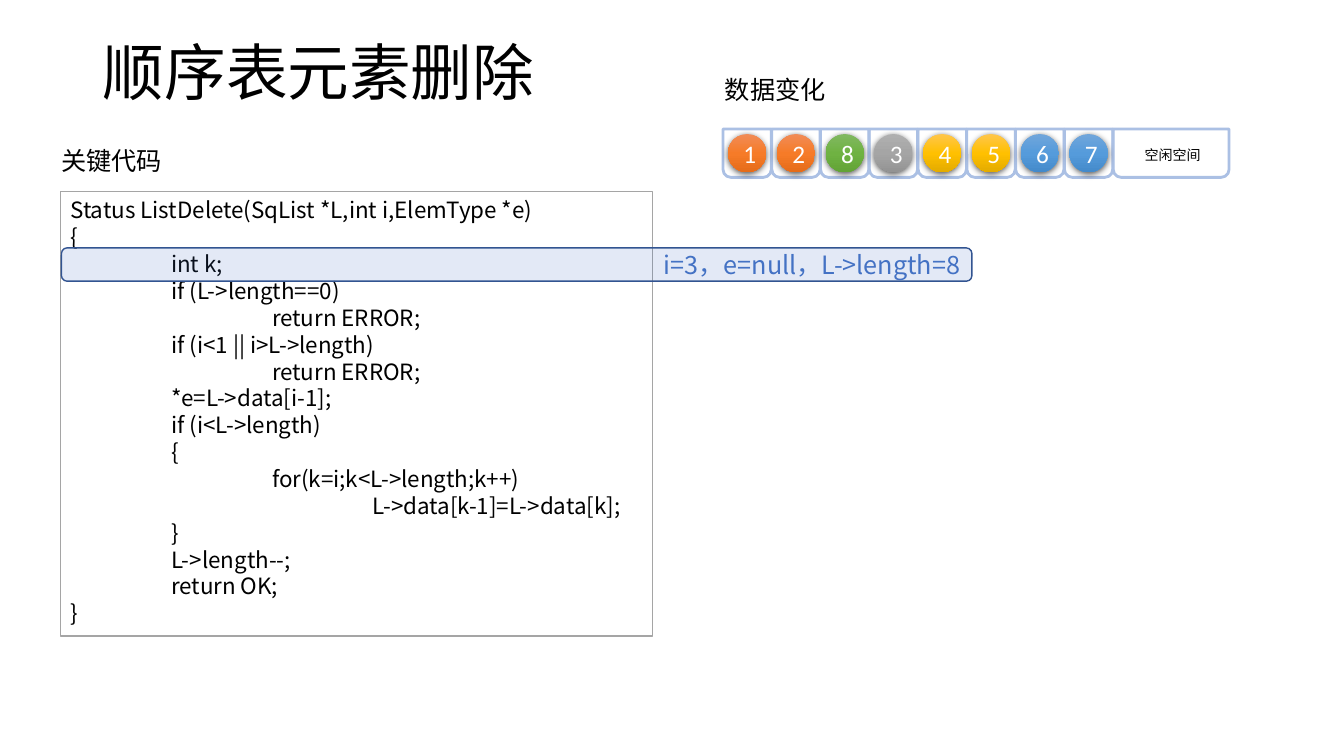
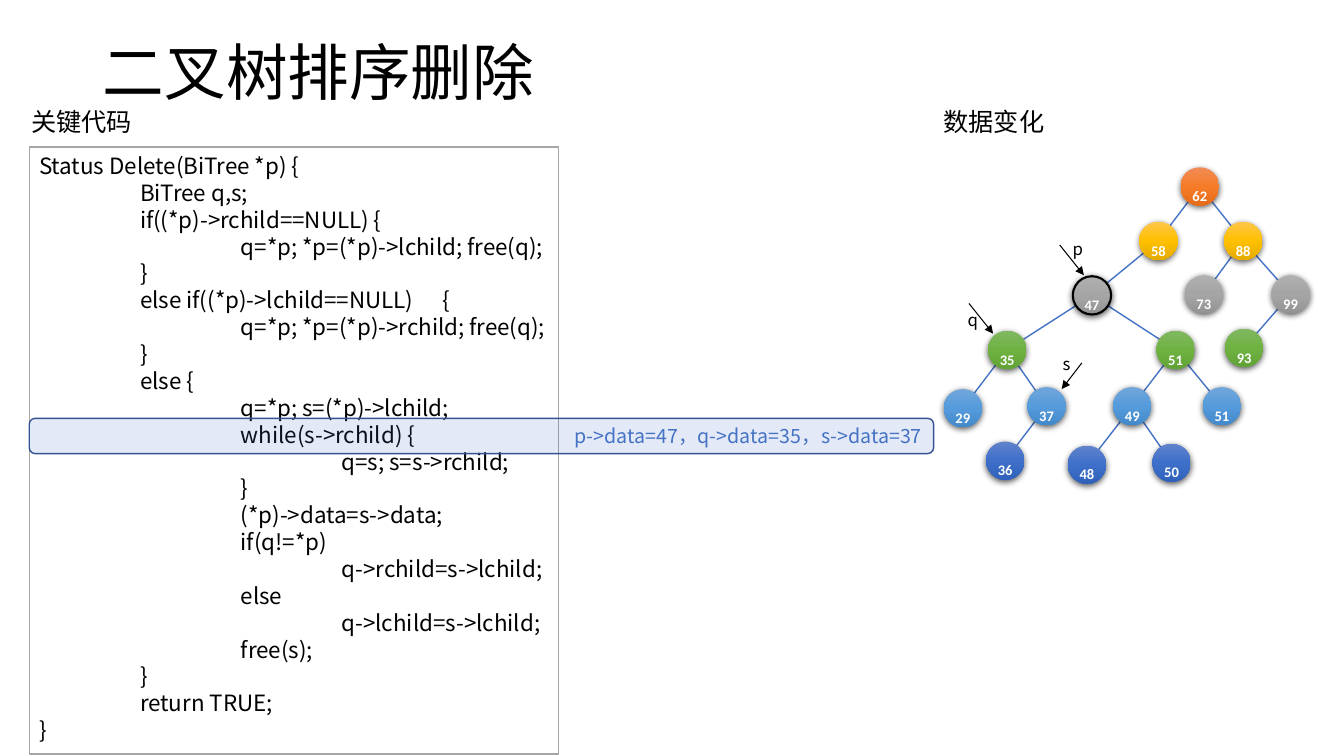
from copy import deepcopy
from dataclasses import dataclass
from typing import Optional

from lxml import etree
from pptx import Presentation, util as u
from pptx.dml.color import RGBColor
from pptx.enum import shapes, text
from pptx.oxml import ns

BLACK = RGBColor(0x00, 0x00, 0x00)
WHITE = RGBColor(0xFF, 0xFF, 0xFF)
GREY = RGBColor(0xA5, 0xA5, 0xA5)
BLUE = RGBColor(0x44, 0x72, 0xC4)
DARK_BLUE = RGBColor(0x32, 0x54, 0x91)
PALE_BLUE = RGBColor(0xAB, 0xC0, 0xE4)


def ramp(*stops: str) -> tuple[RGBColor, ...]:
    return tuple(RGBColor.from_string(stop) for stop in stops)


ORANGE_RAMP = ramp("F18C57", "F67B28", "E56C19")
YELLOW_RAMP = ramp("FFC64B", "FFC000", "E3AB00")
GREY_RAMP = ramp("AFAFAF", "A5A5A5", "939393")
GREEN_RAMP = ramp("81B861", "6FB242", "62A336")
SKY_RAMP = ramp("71A6DB", "559BDB", "448ACA")
ROYAL_RAMP = ramp("6183CB", "3E70CA", "3062BB")
LEVEL_RAMPS = (ORANGE_RAMP, YELLOW_RAMP, GREY_RAMP, GREEN_RAMP, SKY_RAMP, ROYAL_RAMP)

CJK = "Noto Sans CJK SC"
NUMERALS = "Calibri"
LINE_HEIGHT = 1.2
BALL = 0.38
ALIGN = text.PP_ALIGN
SHAPE = shapes.MSO_SHAPE


@dataclass(frozen=True)
class Box:
    left: float
    top: float
    width: float
    height: float

    def lengths(self) -> tuple[u.Length, ...]:
        return tuple(u.Inches(v) for v in (self.left, self.top, self.width, self.height))


@dataclass(frozen=True)
class Highlight:
    box: Box
    state: str
    size: int


@dataclass(frozen=True)
class Lesson:
    title: str
    code_heading: tuple[float, float]
    data_heading: tuple[float, float]
    code_box: Box
    code: tuple[str, ...]
    highlight: Highlight


@dataclass(frozen=True)
class Node:
    value: str
    left: float
    top: float
    level: int
    parent: Optional[int]

    def center(self) -> tuple[float, float]:
        return self.left + BALL / 2, self.top + BALL / 2


@dataclass(frozen=True)
class Pointer:
    name: str
    label: tuple[float, float]
    start: tuple[float, float]
    end: tuple[float, float]


def add_xml(parent, tag: str, **attributes: object):
    values = {key: str(value) for key, value in attributes.items()}
    return etree.SubElement(parent, ns.qn(tag), values)


def style(paragraph, size: int, color: RGBColor, align=ALIGN.LEFT, tight: float = 1) -> None:
    paragraph.alignment = align
    paragraph.line_spacing = u.Pt(round(size * LINE_HEIGHT * tight, 1))
    paragraph.font.size = u.Pt(size)
    paragraph.font.color.rgb = color
    paragraph.font.name = CJK
    add_xml(paragraph.font._element, "a:ea", typeface=CJK)


def style_number(paragraph) -> None:
    paragraph.alignment = ALIGN.CENTER
    paragraph.font.size = u.Pt(18)
    paragraph.font.color.rgb = WHITE
    paragraph.font.name = NUMERALS


def add_label(slide, words: str, box: Box, size: int, align=ALIGN.LEFT) -> None:
    frame = slide.shapes.add_textbox(*box.lengths()).text_frame
    frame.word_wrap = True
    frame.text = words
    style(frame.paragraphs[0], size, BLACK, align)


def add_outlined(slide, preset, box: Box, line: RGBColor, weight: float):
    outlined = slide.shapes.add_shape(preset, *box.lengths())
    outlined.shadow.inherit = False
    outlined.fill.background()
    outlined.line.color.rgb = line
    outlined.line.width = u.Pt(weight)
    return outlined


def add_ball(parent, left: float, top: float, colors: tuple[RGBColor, ...], ringed: bool = False):
    ball = parent.shapes.add_shape(SHAPE.OVAL, *Box(left, top, BALL, BALL).lengths())
    ball.fill.gradient()
    ball.fill.gradient_angle = 270
    props = ball._element.spPr
    stops = props.find(".//" + ns.qn("a:gsLst"))
    stops.append(deepcopy(stops[-1]))
    for stop, color, position in zip(ball.fill.gradient_stops, colors, (0, 0.5, 1)):
        stop.color.rgb = color
        stop.position = position
    if ringed:
        ball.line.color.rgb = BLACK
        ball.line.width = u.Pt(1.5)
    else:
        ball.line.fill.background()
    ball.shadow.inherit = False
    shadow = add_xml(props.find(ns.qn("a:effectLst")), "a:outerShdw", blurRad=u.Pt(4.5),
                     dist=u.Pt(1.5), dir=5400000, algn="ctr", rotWithShape=0)
    add_xml(add_xml(shadow, "a:srgbClr", val=BLACK), "a:alpha", val=63000)
    return ball


def add_line(slide, start: tuple[float, float], end: tuple[float, float],
             color: RGBColor, weight: float, arrow: bool = False) -> None:
    line = slide.shapes.add_connector(shapes.MSO_CONNECTOR.STRAIGHT,
                                      *(u.Inches(v) for v in (*start, *end)))
    line.line.color.rgb = color
    line.line.width = u.Pt(weight)
    if arrow:
        add_xml(line.line._get_or_add_ln(), "a:tailEnd", type="triangle")
    add_xml(line._element.spPr, "a:effectLst")


def add_code(slide, box: Box, lines: tuple[str, ...]) -> None:
    listing = add_outlined(slide, SHAPE.RECTANGLE, box, GREY, 1)
    listing.fill.solid()
    listing.fill.fore_color.rgb = WHITE
    frame = listing.text_frame
    frame.vertical_anchor = text.MSO_ANCHOR.TOP
    frame.text = "\n".join(lines)
    for paragraph in frame.paragraphs:
        tabs = add_xml(paragraph._p.get_or_add_pPr(), "a:tabLst")
        for stop in range(1, 5):
            add_xml(tabs, "a:tab", pos=u.Inches(stop), algn="l")
        style(paragraph, 16, BLACK)


def add_highlight(slide, highlight: Highlight) -> None:
    band = add_outlined(slide, SHAPE.ROUNDED_RECTANGLE, highlight.box, DARK_BLUE, 1)
    band.fill.solid()
    band.fill.fore_color.rgb = BLUE
    tint = band._element.spPr.find(ns.qn("a:solidFill"))[0]
    add_xml(tint, "a:alpha", val=15000)
    band.text_frame.vertical_anchor = text.MSO_ANCHOR.MIDDLE
    band.text_frame.text = highlight.state
    style(band.text_frame.paragraphs[0], highlight.size, BLUE, ALIGN.RIGHT)


def add_lesson(deck, lesson: Lesson):
    slide = deck.slides.add_slide(deck.slide_layouts[5])
    title = slide.shapes.title
    title.left, title.top, title.width, title.height = Box(0.92, 0.01, 11.5, 1.45).lengths()
    title.text_frame.text = lesson.title
    title.text_frame.auto_size = text.MSO_AUTO_SIZE.NONE
    title.text_frame.vertical_anchor = text.MSO_ANCHOR.MIDDLE
    style(title.text_frame.paragraphs[0], 44, BLACK, tight=0.9)
    add_code(slide, lesson.code_box, lesson.code)
    add_highlight(slide, lesson.highlight)
    add_label(slide, "关键代码", Box(*lesson.code_heading, 1.25, 0.4), 18)
    add_label(slide, "数据变化", Box(*lesson.data_heading, 1.25, 0.4), 18)
    return slide


def add_array(slide) -> None:
    left, free_left, top, side = 7.17, 11.04, 1.28, 0.48
    pitch = (free_left - left) / len(ITEMS)
    cells = [Box(left + i * pitch, top, side, side) for i in range(len(ITEMS))]
    for cell in (*cells, Box(free_left, top, 1.15, side)):
        add_outlined(slide, SHAPE.ROUND_2_SAME_RECTANGLE, cell, PALE_BLUE, 2).rotation = 180
    margin = (side - BALL) / 2
    for cell, (value, colors) in zip(cells, ITEMS):
        ball = add_ball(slide, cell.left + margin, top + margin, colors)
        ball.text_frame.vertical_anchor = text.MSO_ANCHOR.MIDDLE
        ball.text_frame.text = value
        style_number(ball.text_frame.paragraphs[0])
    add_label(slide, "空闲空间", Box(11.07, 1.4, 1.12, 0.27), 10, ALIGN.CENTER)


def add_node(slide, node: Node) -> None:
    group = slide.shapes.add_group_shape()
    add_ball(group, node.left, node.top, LEVEL_RAMPS[node.level], ringed=node.value == "47")
    label = Box(node.left, node.top - 0.02, BALL, 0.3)
    frame = group.shapes.add_textbox(*label.lengths()).text_frame
    frame.word_wrap = True
    frame.text = node.value
    number = frame.paragraphs[0]
    style_number(number)
    number.font.bold = True
    number.font._element.set("baseline", "-25000")


def add_tree(slide) -> None:
    for node in TREE:
        if node.parent is not None:
            add_line(slide, TREE[node.parent].center(), node.center(), BLUE, 1)
    for node in TREE:
        add_node(slide, node)
    for pointer in POINTERS:
        add_line(slide, pointer.start, pointer.end, BLACK, 0.75, arrow=True)
        add_label(slide, pointer.name, Box(*pointer.label, 0.3, 0.3), 12)


ITEMS = (("1", ORANGE_RAMP), ("2", ORANGE_RAMP), ("8", GREEN_RAMP), ("3", GREY_RAMP),
         ("4", YELLOW_RAMP), ("5", YELLOW_RAMP), ("6", SKY_RAMP), ("7", SKY_RAMP))

TREE = (
    Node("62", 11.71, 1.66, 0, None),
    Node("58", 11.3, 2.2, 1, 0),
    Node("88", 12.14, 2.2, 1, 0),
    Node("47", 10.64, 2.74, 2, 1),
    Node("73", 11.75, 2.73, 2, 2),
    Node("99", 12.61, 2.73, 2, 2),
    Node("35", 9.8, 3.28, 3, 3),
    Node("51", 11.47, 3.28, 3, 3),
    Node("93", 12.15, 3.26, 3, 5),
    Node("29", 9.36, 3.86, 4, 6),
    Node("37", 10.19, 3.84, 4, 6),
    Node("49", 11.04, 3.84, 4, 7),
    Node("51", 11.93, 3.84, 4, 7),
    Node("36", 9.78, 4.38, 5, 10),
    Node("48", 10.59, 4.42, 5, 11),
    Node("50", 11.43, 4.4, 5, 11),
)

POINTERS = (
    Pointer("p", (10.54, 2.32), (10.51, 2.43), (10.75, 2.73)),
    Pointer("s", (10.44, 3.46), (10.73, 3.6), (10.53, 3.86)),
    Pointer("q", (9.5, 3.02), (9.61, 3.01), (9.85, 3.31)),
)

LIST_DELETE = Lesson(
    "顺序表元素删除", (0.51, 1.39), (7.09, 0.69), Box(0.6, 1.9, 5.87, 4.41),
    ("Status ListDelete(SqList *L,int i,ElemType *e)", "{", "\tint k;",
     "\tif (L->length==0)", "\t\treturn ERROR;",
     "\tif (i<1 || i>L->length)", "\t\treturn ERROR;",
     "\t*e=L->data[i-1];", "\tif (i<L->length)", "\t{",
     "\t\tfor(k=i;k<L->length;k++)", "\t\t\tL->data[k-1]=L->data[k];", "\t}",
     "\tL->length--;", "\treturn OK;", "}"),
    Highlight(Box(0.61, 2.46, 9.03, 0.33), "i=3，e=null，L->length=8", 18))

TREE_DELETE = Lesson(
    "二叉树排序删除", (0.21, 1.01), (9.26, 1.01), Box(0.29, 1.46, 5.25, 6.02),
    ("Status Delete(BiTree *p) {", "\tBiTree q,s;",
     "\tif((*p)->rchild==NULL) {", "\t\tq=*p; *p=(*p)->lchild; free(q);", "\t}",
     "\telse if((*p)->lchild==NULL)\t{", "\t\tq=*p; *p=(*p)->rchild; free(q);", "\t}",
     "\telse {", "\t\tq=*p; s=(*p)->lchild;", "\t\twhile(s->rchild) {",
     "\t\t\tq=s; s=s->rchild;", "\t\t}", "\t\t(*p)->data=s->data;",
     "\t\tif(q!=*p)", "\t\t\tq->rchild=s->lchild;",
     "\t\telse", "\t\t\tq->lchild=s->lchild;", "\t\tfree(s);", "\t}",
     "\treturn TRUE;", "}"),
    Highlight(Box(0.29, 4.15, 8.97, 0.35), "p->data=47，q->data=35，s->data=37", 14))


def main() -> None:
    deck = Presentation()
    deck.slide_width, deck.slide_height = u.Inches(13.33), u.Inches(7.5)
    add_array(add_lesson(deck, LIST_DELETE))
    add_tree(add_lesson(deck, TREE_DELETE))
    deck.save("out.pptx")


if __name__ == "__main__":
    main()
